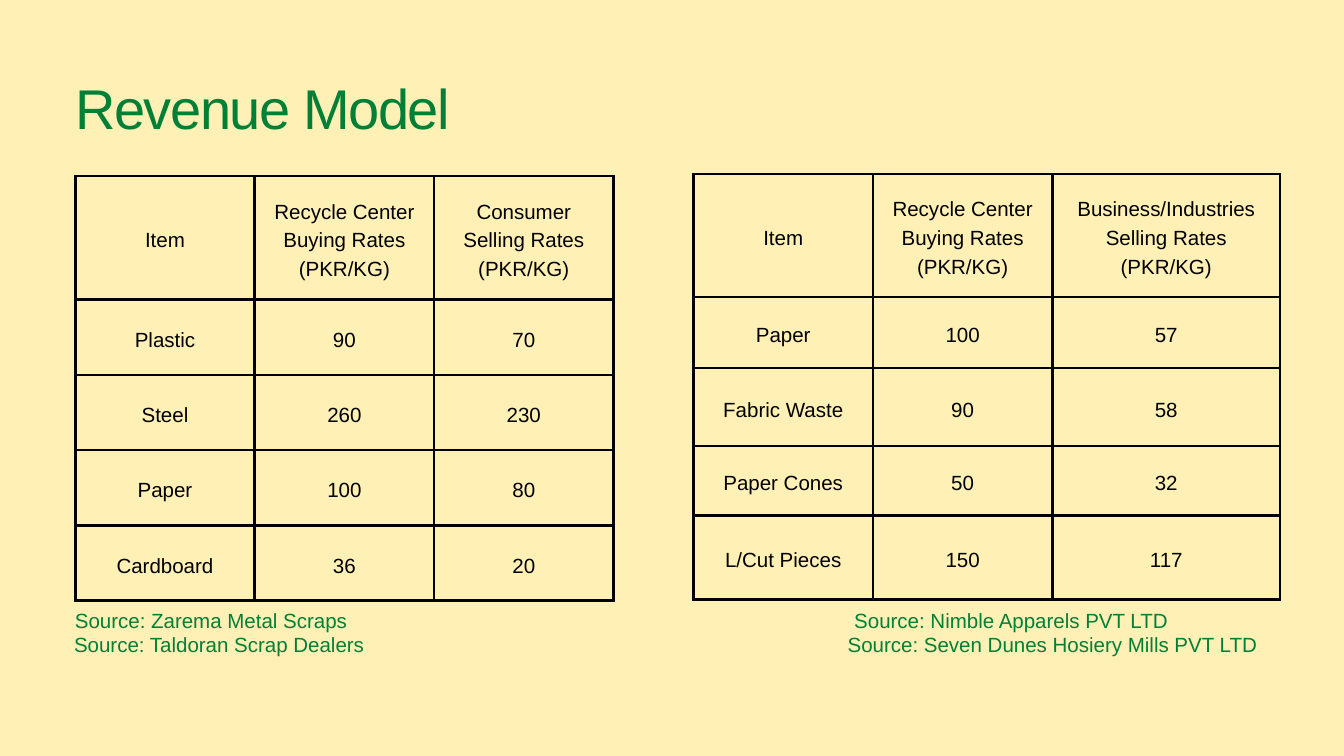
import pptx
import pptx.dml.color
import pptx.enum.text
import pptx.oxml
import pptx.oxml.ns
import pptx.util
from dataclasses import dataclass

Inches = pptx.util.Inches
Pt = pptx.util.Pt
Align = pptx.enum.text.PP_ALIGN
Anchor = pptx.enum.text.MSO_ANCHOR


@dataclass(frozen=True)
class Theme:
    back: str = "FFF0B5"
    green: str = "008037"
    ink: str = "000000"
    font: str = "Arial"
    title: float = 60
    body: float = 22
    lead: float = 30.8
    rule: float = 3
    pad: float = 0.21


def color(code):
    return pptx.dml.color.RGBColor.from_string(code)


class Deck:
    def __init__(self, theme):
        self.theme = theme
        self.file = pptx.Presentation()
        self.file.slide_width = Inches(20)
        self.file.slide_height = Inches(11.25)
        self.slide = self.file.slides.add_slide(self.file.slide_layouts[6])
        fill = self.slide.background.fill
        fill.solid()
        fill.fore_color.rgb = color(theme.back)

    def line(self, para, text, size, tint, lead, align):
        para.alignment = align
        para.line_spacing = Pt(lead)
        run = para.add_run()
        run.text = text
        run.font.name = self.theme.font
        run.font.size = Pt(size)
        run.font.bold = False
        run.font.color.rgb = color(tint)
        return run

    def box(self, place, text, size, lead, align):
        frame = self.slide.shapes.add_textbox(*map(Inches, place)).text_frame
        frame.word_wrap = True
        frame.margin_left = frame.margin_right = 0
        frame.margin_top = frame.margin_bottom = 0
        return self.line(frame.paragraphs[0], text, size, self.theme.green, lead, align)

    def title(self, place, text):
        run = self.box(place, text, self.theme.title, 62.4, Align.LEFT)
        run.font._element.set("spc", "-160")

    def source(self, place, name):
        self.box(place, f"Source: {name}", self.theme.body, self.theme.lead, Align.CENTER)

    def border(self, cell):
        props = cell._tc.get_or_add_tcPr()
        space = pptx.oxml.ns.nsdecls("a")
        for side in "LRTB":
            props.append(pptx.oxml.parse_xml(
                f'<a:ln{side} {space} w="{Pt(self.theme.rule)}"><a:solidFill>'
                f'<a:srgbClr val="{self.theme.ink}"/></a:solidFill></a:ln{side}>'))

    def cell(self, cell, text):
        look = self.theme
        self.border(cell)
        cell.fill.background()
        cell.vertical_anchor = Anchor.MIDDLE
        cell.margin_left = cell.margin_right = Inches(look.pad)
        cell.margin_top = cell.margin_bottom = Inches(look.pad)
        frame = cell.text_frame
        for i, words in enumerate(text.split("\n")):
            para = frame.add_paragraph() if i else frame.paragraphs[0]
            self.line(para, words, look.body, look.ink, look.lead, Align.CENTER)

    def table(self, left, top, wide, high, rows):
        grid = self.slide.shapes.add_table(
            len(high), len(wide), Inches(left), Inches(top),
            Inches(sum(wide)), Inches(sum(high))).table
        grid.first_row = grid.horz_banding = False
        for col, size in zip(grid.columns, wide):
            col.width = Inches(size)
        for row, size, texts in zip(grid.rows, high, rows):
            row.height = Inches(size)
            for cell, text in zip(row.cells, texts):
                self.cell(cell, text)


def main():
    deck = Deck(Theme())
    buying = "Recycle Center Buying Rates\n(PKR/KG)"

    # Consumer rates
    deck.table(1.12, 2.62, [2.67] * 3, [1.84] + [1.12] * 4, [
        ("Item", buying, "Consumer Selling Rates\n(PKR/KG)"),
        ("Plastic", "90", "70"),
        ("Steel", "260", "230"),
        ("Paper", "100", "80"),
        ("Cardboard", "36", "20"),
    ])

    # Business rates
    deck.table(10.32, 2.59, [2.67, 2.67, 3.39], [1.83, 1.06, 1.16, 1.03, 1.25], [
        ("Item", buying, "Business/Industries Selling Rates\n(PKR/KG)"),
        ("Paper", "100", "57"),
        ("Fabric Waste", "90", "58"),
        ("Paper Cones", "50", "32"),
        ("L/Cut Pieces", "150", "117"),
    ])

    # Title
    deck.title((1.12, 1.22, 11.52, 0.9), "Revenue Model")

    # Sources, two lines under each table
    first, second, tall = 8.98, 9.34, 0.41
    for left, top, wide, name in [
        (11.37, first, 7.35, "Nimble Apparels PVT LTD"),
        (12.03, second, 7.26, "Seven Dunes Hosiery Mills PVT LTD"),
        (-1.03, first, 8.34, "Zarema Metal Scraps"),
        (-0.9, second, 8.32, "Taldoran Scrap Dealers"),
    ]:
        deck.source((left, top, wide, tall), name)

    deck.file.save("out.pptx")


if __name__ == "__main__":
    main()
